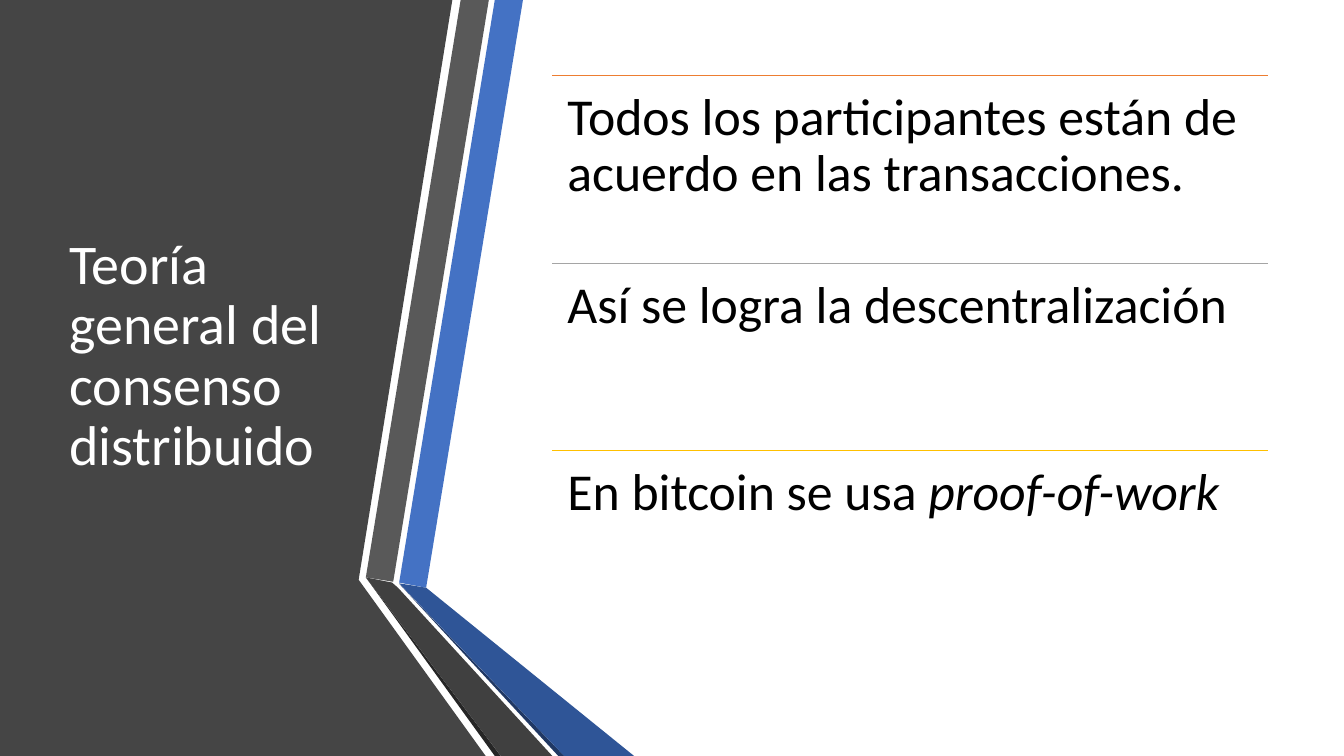
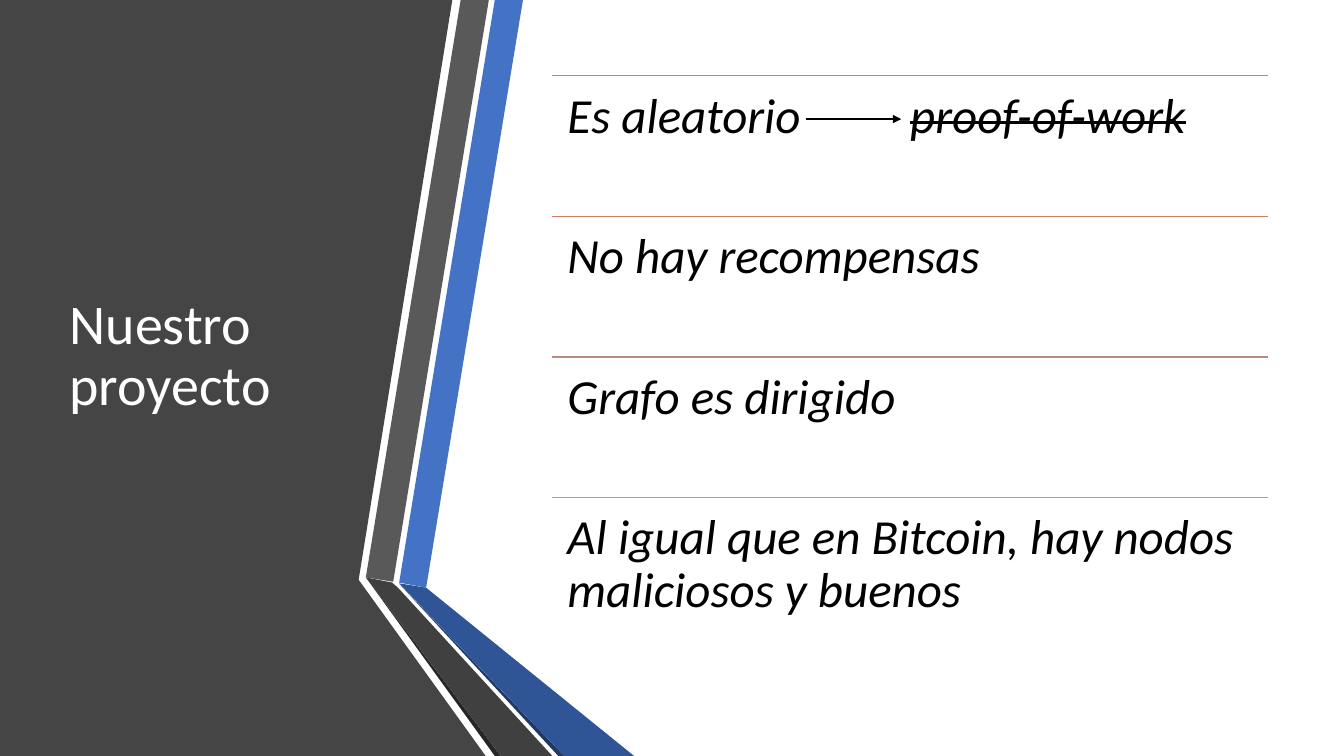
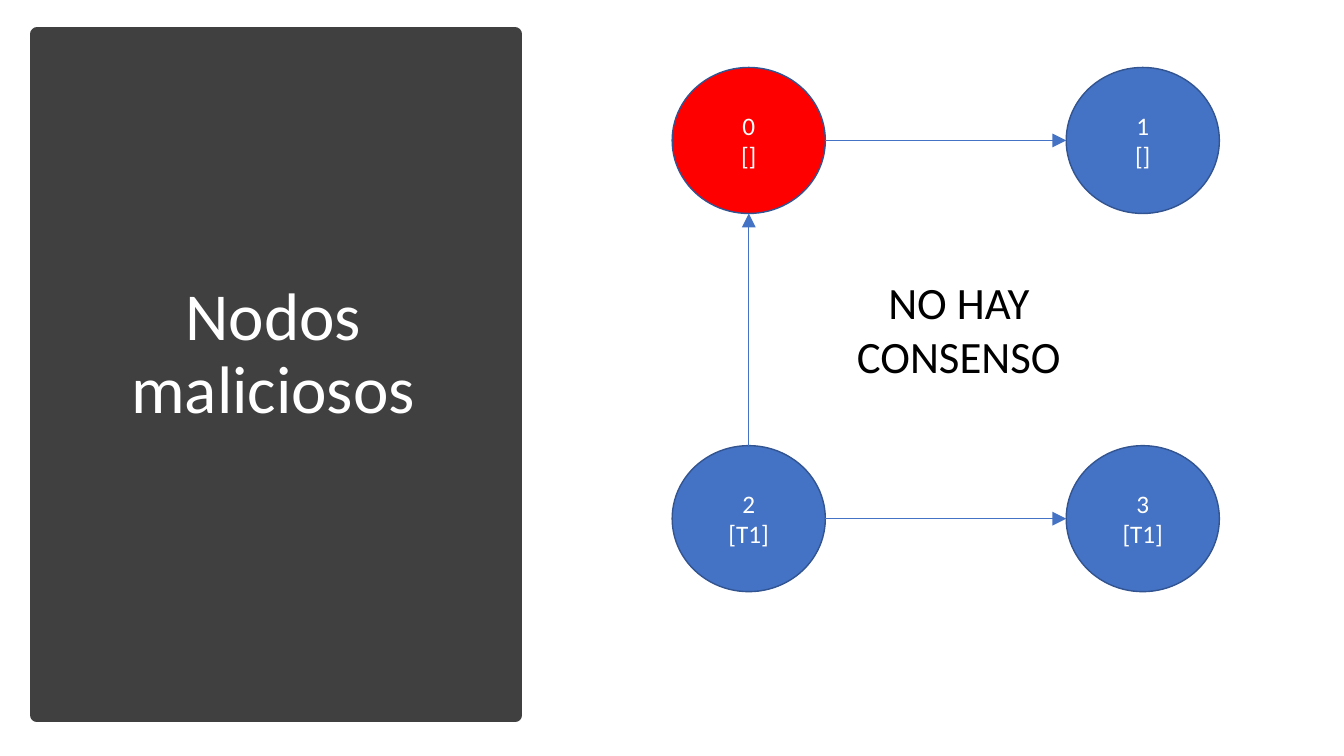
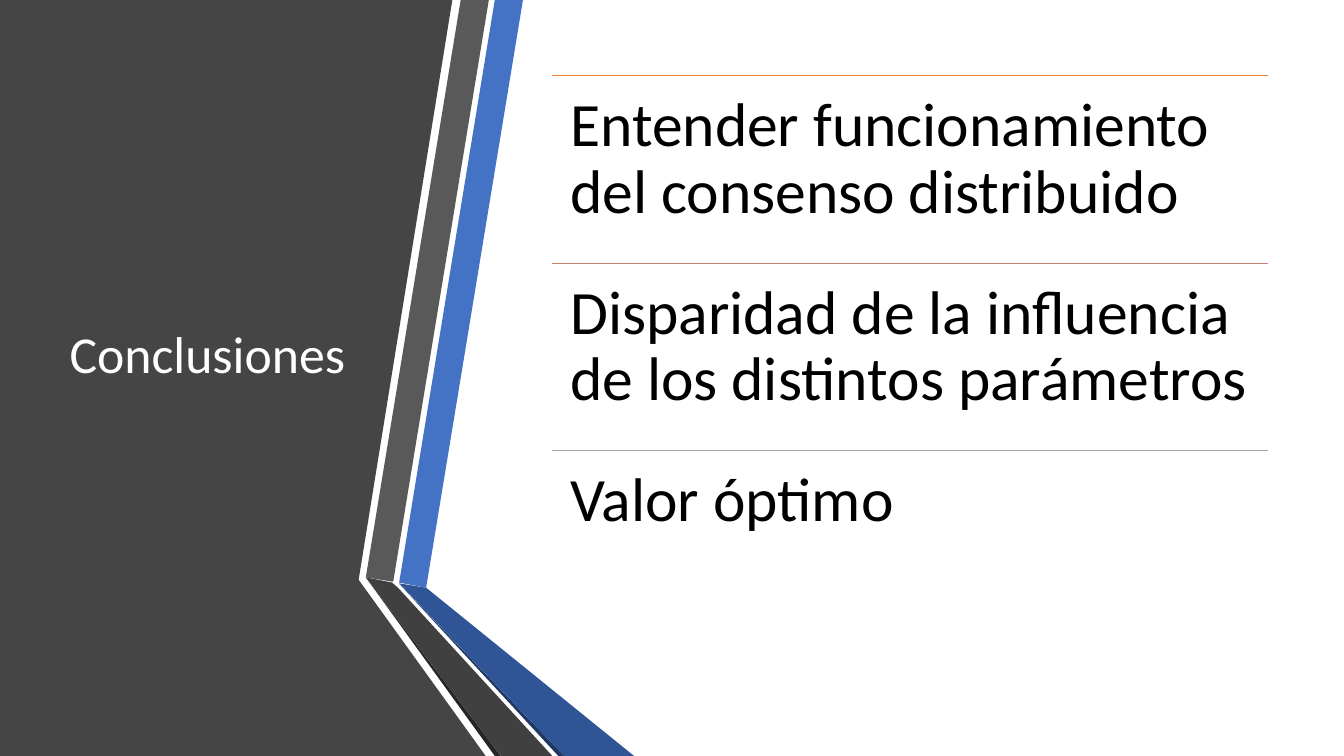
"""Build a four-slide deck about distributed consensus."""
from lxml.etree import SubElement
from pptx import Presentation
from pptx.dml.color import RGBColor
from pptx.enum.shapes import MSO_CONNECTOR, MSO_SHAPE
from pptx.enum.text import MSO_ANCHOR, MSO_AUTO_SIZE, PP_ALIGN
from pptx.oxml.ns import qn
from pptx.util import Cm, Emu, Pt

FONT = "Calibri"
BLACK = RGBColor(0x00, 0x00, 0x00)
WHITE = RGBColor(0xFF, 0xFF, 0xFF)
RED = RGBColor(0xFF, 0x00, 0x00)
BLUE = RGBColor(0x44, 0x72, 0xC4)
DARK_BLUE = RGBColor(0x2F, 0x55, 0x97)
NAVY = RGBColor(0x20, 0x38, 0x64)
OUTLINE_BLUE = RGBColor(0x32, 0x54, 0x91)
PANEL_GRAY = RGBColor(0x45, 0x45, 0x45)
BAND_GRAY = RGBColor(0x59, 0x59, 0x59)
CHARCOAL = RGBColor(0x40, 0x40, 0x40)
DARK_GRAY = RGBColor(0x26, 0x26, 0x26)
ORANGE = RGBColor(0xED, 0x7D, 0x31)
COPPER = RGBColor(0xD1, 0x7B, 0x5C)
CLAY = RGBColor(0xC4, 0x81, 0x70)
ROSE = RGBColor(0xB9, 0x8A, 0x82)
SILVER = RGBColor(0xA5, 0xA5, 0xA5)
GOLD = RGBColor(0xFF, 0xC0, 0x00)

SLIDE_WIDTH, SLIDE_HEIGHT = 33.87, 19.05
TITLE_BOX = (1.5, 1.91, 7.72, 14.17)
LIST_BOX = (13.92, 1.91, 18.03, 14.17)
BANDS = [
    (PANEL_GRAY, [(0, 0), (11.4, 0), (9.04, 14.61), (12.24, 19.05), (0, 19.05)]),
    (BLUE, [(10.06, 14.68), (10.74, 14.81), (13.18, 0), (12.47, 0)]),
    (BAND_GRAY, [(12.32, 0), (11.61, 0), (9.22, 14.55), (9.91, 14.66)]),
    (DARK_GRAY, [(9.22, 14.55), (12.47, 19.05), (12.62, 19.05)]),
    (NAVY, [(10.06, 14.71), (14.07, 19.05), (14.22, 19.05)]),
    (DARK_BLUE, [(10.06, 14.7), (14.22, 19.05), (15.98, 19.05), (10.74, 14.81)]),
    (CHARCOAL, [(13.92, 19.05), (10.03, 14.81), (9.88, 14.68), (9.22, 14.55), (12.62, 19.05)]),
]

THEORY = {
    "title": "Teoría general del consenso distribuido", "title_size": 40, "size": 37, "inset": 0.38,
    "items": [
        (ORANGE, [("Todos los participantes están de acuerdo en las transacciones.", "")]),
        (SILVER, [("Así se logra la descentralización", "")]),
        (GOLD, [("En bitcoin se usa ", ""), ("proof-of-work", "italic")]),
    ],
}
PROJECT = {
    "title": "Nuestro proyecto", "title_size": 40, "size": 35, "inset": 0.38,
    "items": [
        (ORANGE, [("Es aleatorio\t", "italic"), ("proof-of-work", "italic strike")]),
        (COPPER, [("No hay recompensas", "italic")]),
        (ROSE, [("Grafo es dirigido", "italic")]),
        (SILVER, [("Al igual que en Bitcoin, hay nodos maliciosos y buenos", "italic")]),
    ],
}
CONCLUSIONS = {
    "title": "Conclusiones", "title_size": 37, "size": 44, "inset": 0.45,
    "items": [
        (ORANGE, [("Entender funcionamiento del consenso distribuido", "")]),
        (CLAY, [("Disparidad de la influencia de los distintos parámetros", "")]),
        (SILVER, [("Valor óptimo", "")]),
    ],
}
TAB_STOP = 8.64
PROJECT_ARROW = (20.32, 3, 22.71, 3)

NODE_COLUMNS, NODE_ROWS, NODE_SIZE = (16.94, 26.87), (1.7, 11.23), (3.86, 3.68)
NODES = [("0", "[]", RED), ("1", "[]", BLUE), ("2", "[T1]", BLUE), ("3", "[T1]", BLUE)]
TOP, LEFT, BOTTOM, RIGHT = 0, 2, 4, 6
SITE_OFFSETS = {TOP: (0.5, 0), LEFT: (0, 0.5), BOTTOM: (0.5, 1), RIGHT: (1, 0.5)}
EDGES = [(0, RIGHT, 1, LEFT), (2, TOP, 0, BOTTOM), (2, RIGHT, 3, LEFT)]


def lengths(values):
    return [Cm(value) for value in values]


def write(frame, paragraphs, size, color=BLACK, align=PP_ALIGN.LEFT, spacing=None,
          anchor=MSO_ANCHOR.TOP, inset=None):
    frame.word_wrap = True
    frame.auto_size = MSO_AUTO_SIZE.NONE
    frame.vertical_anchor = anchor
    if inset is not None:
        frame.margin_left = frame.margin_right = Cm(inset)
        frame.margin_top = frame.margin_bottom = Cm(inset)
    for index, runs in enumerate(paragraphs):
        paragraph = frame.add_paragraph() if index else frame.paragraphs[0]
        paragraph.alignment = align
        paragraph.line_spacing = spacing
        for text, style in runs:
            run = paragraph.add_run()
            run.text = text
            run.font.name = FONT
            run.font.size = Pt(size)
            run.font.color.rgb = color
            if "italic" in style:
                run.font.italic = True
            if "strike" in style:
                run.font._element.set("strike", "sngStrike")
            if "\t" in text:
                tabs = SubElement(paragraph._p.get_or_add_pPr(), qn("a:tabLst"))
                SubElement(tabs, qn("a:tab"), pos=str(Cm(TAB_STOP)), algn="l")


def paint(shape, fill, outline=None, width=1):
    shape.shadow.inherit = False
    shape.fill.solid()
    shape.fill.fore_color.rgb = fill
    if outline is None:
        shape.line.fill.background()
    else:
        shape.line.color.rgb = outline
        shape.line.width = Pt(width)


def add_line(slide, ends, color, width, head=None):
    line = slide.shapes.add_connector(MSO_CONNECTOR.STRAIGHT, *lengths(ends))
    line.line.color.rgb = color
    line.line.width = Pt(width)
    if head:
        SubElement(line.line._get_or_add_ln(), qn("a:tailEnd"), type="triangle", w=head, len=head)
    SubElement(line._element.spPr, qn("a:effectLst"))
    return line


def place_title(slide, text, box, size, align=PP_ALIGN.LEFT):
    title = slide.shapes.title
    title.left, title.top, title.width, title.height = lengths(box)
    write(title.text_frame, [[(text, "")]], size, color=WHITE, align=align, spacing=0.9,
          anchor=MSO_ANCHOR.MIDDLE)
    title.element.getparent().append(title.element)


def add_bands(slide):
    for color, points in BANDS:
        start, *rest = [lengths(point) for point in points]
        builder = slide.shapes.build_freeform(*start)
        builder.add_line_segments(rest, close=True)
        paint(builder.convert_to_shape(), color)


def add_list_slide(presentation, content):
    slide = presentation.slides.add_slide(presentation.slide_layouts[5])
    add_bands(slide)
    place_title(slide, content["title"], TITLE_BOX, content["title_size"])
    left, top, width, height = LIST_BOX
    step = height / len(content["items"])
    for index, (color, runs) in enumerate(content["items"]):
        y = top + index * step
        add_line(slide, (left, y, left + width, y), color, 1)
        box = slide.shapes.add_textbox(*lengths((left, y, width, step)))
        write(box.text_frame, [runs], content["size"], spacing=0.9, inset=content["inset"])
    return slide


def site_point(shape, site):
    across, down = SITE_OFFSETS[site]
    x = Emu(shape.left + shape.width * across)
    y = Emu(shape.top + shape.height * down)
    return x.cm, y.cm


def connect(slide, source, source_site, target, target_site):
    ends = site_point(source, source_site) + site_point(target, target_site)
    arrow = add_line(slide, ends, BLUE, 0.5, head="lg")
    links = arrow._element.nvCxnSpPr.cNvCxnSpPr
    for tag, shape, site in (("a:stCxn", source, source_site), ("a:endCxn", target, target_site)):
        SubElement(links, qn(tag), id=str(shape.shape_id), idx=str(site))


def add_graph_slide(presentation):
    slide = presentation.slides.add_slide(presentation.slide_layouts[5])
    panel = slide.shapes.add_shape(MSO_SHAPE.RECTANGLE, *lengths((0.94, 0.86, 12.04, 17.17)))
    paint(panel, CHARCOAL, CHARCOAL, 10)
    place_title(slide, "Nodos maliciosos", (2.06, 2.06, 9.65, 13.79), 48, PP_ALIGN.CENTER)
    circles = []
    for index, (name, transactions, color) in enumerate(NODES):
        row, column = divmod(index, 2)
        position = (NODE_COLUMNS[column], NODE_ROWS[row])
        circle = slide.shapes.add_shape(MSO_SHAPE.OVAL, *lengths(position + NODE_SIZE))
        paint(circle, color, OUTLINE_BLUE)
        write(circle.text_frame, [[(name, "")], [(transactions, "")]], 18, color=WHITE,
              align=PP_ALIGN.CENTER, anchor=MSO_ANCHOR.MIDDLE)
        circles.append(circle)
    for source, source_site, target, target_site in EDGES:
        connect(slide, circles[source], source_site, circles[target], target_site)
    caption = slide.shapes.add_textbox(*lengths((21.03, 6.81, 6.27, 3)))
    write(caption.text_frame, [[("NO HAY CONSENSO", "")]], 32, align=PP_ALIGN.CENTER)


def main():
    presentation = Presentation()
    presentation.slide_width, presentation.slide_height = Cm(SLIDE_WIDTH), Cm(SLIDE_HEIGHT)
    add_list_slide(presentation, THEORY)
    project = add_list_slide(presentation, PROJECT)
    add_line(project, PROJECT_ARROW, BLACK, 1.5, head="med")
    add_graph_slide(presentation)
    add_list_slide(presentation, CONCLUSIONS)
    presentation.save("out.pptx")


if __name__ == "__main__":
    main()
